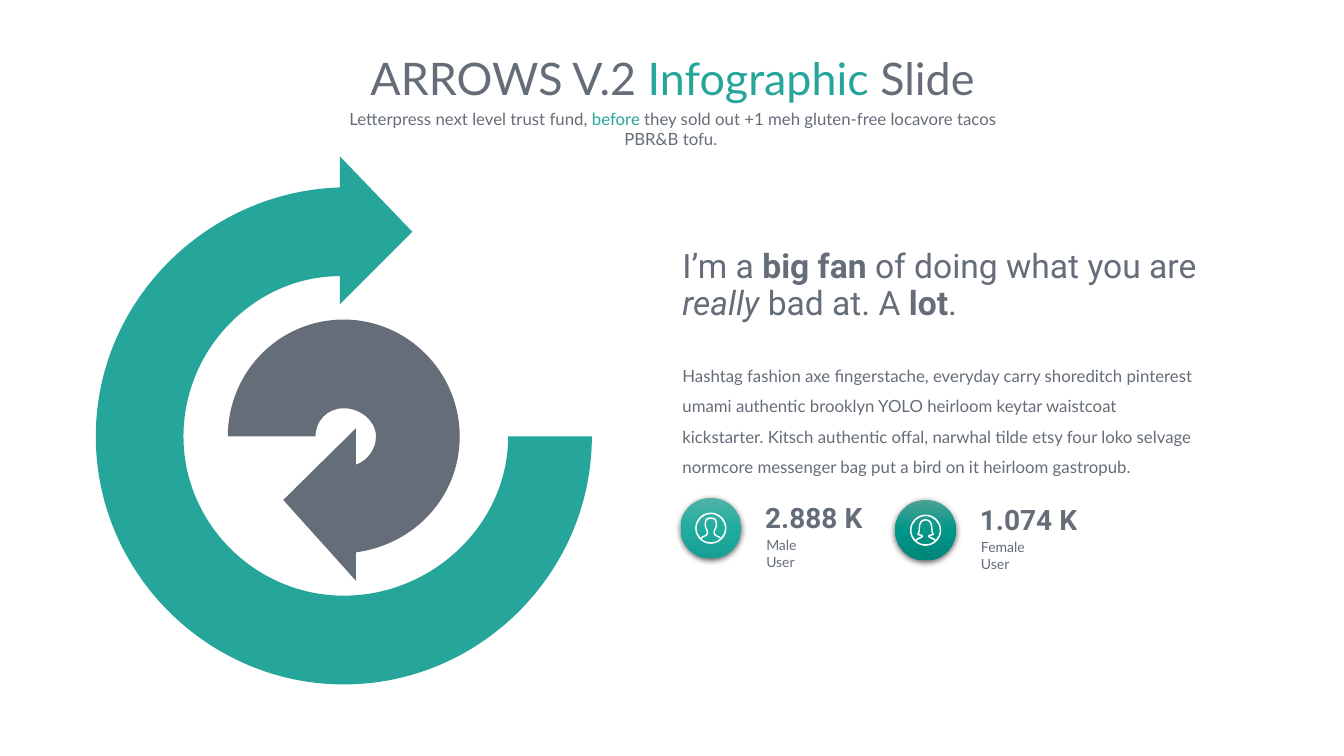
import copy
import lxml.etree
import pptx
import pptx.dml.color
import pptx.enum.shapes
import pptx.enum.text
import pptx.oxml
import pptx.oxml.ns
import pptx.util
from pptx.util import Inches

RGBColor = pptx.dml.color.RGBColor
qn = pptx.oxml.ns.qn
TEAL = RGBColor(0x26, 0xA6, 0x9A)
GREY = RGBColor(0x65, 0x6D, 0x78)
WHITE = RGBColor(0xFF, 0xFF, 0xFF)
MALE_GRADIENT = [RGBColor(0x51, 0xB2, 0xA7), RGBColor(0x20, 0xAC, 0x9F), RGBColor(0x16, 0x9F, 0x92)]
FEMALE_GRADIENT = [RGBColor(0x4B, 0xA2, 0x95), RGBColor(0x00, 0x96, 0x88), RGBColor(0x00, 0x85, 0x79)]

# Each run is its text followed by the font settings that differ from the box.
TITLE = [("ARROWS V.2 ", {}), ("Infographic ", {"color": TEAL}), ("Slide", {})]
SUBTITLE = [
    ("Letterpress next level trust fund, ", {}),
    ("before", {"color": TEAL}),
    (" they sold out +1 meh gluten-free locavore tacos PBR&B tofu. ", {}),
]
QUOTE = [
    ("I’m a ", {}), ("big fan ", {"bold": True}), ("of doing what you are ", {}),
    ("really", {"italic": True}), (" bad at. A ", {}), ("lot", {"bold": True}), (".", {}),
]
BODY = [(
    "Hashtag fashion axe fingerstache, everyday carry shoreditch pinterest umami authentic "
    "brooklyn YOLO heirloom keytar waistcoat kickstarter. Kitsch authentic offal, narwhal tilde "
    "etsy four loko selvage normcore messenger bag put a bird on it heirloom gastropub.", {},
)]

# Outlines in inches: two numbers are a corner, six are a Bézier curve to the last pair.
OUTER_ARROW = [
    (5.04, 4.33), (5.04, 5.2, 4.29, 5.91, 3.41, 5.91), (2.54, 5.91, 1.82, 5.2, 1.82, 4.33),
    (1.82, 3.45, 2.54, 2.74, 3.37, 2.74), (3.37, 3.02), (4.09, 2.3), (3.37, 1.55), (3.37, 1.86),
    (2.06, 1.9, 0.95, 2.98, 0.95, 4.33), (0.95, 5.68, 2.06, 6.79, 3.41, 6.79),
    (4.76, 6.79, 5.87, 5.68, 5.87, 4.33),
]
INNER_ARROW = [
    (4.56, 4.33), (4.56, 3.69, 4.04, 3.17, 3.41, 3.17), (2.77, 3.17, 2.26, 3.69, 2.26, 4.33),
    (3.13, 4.33), (3.13, 4.17, 3.25, 4.05, 3.41, 4.05), (3.57, 4.05, 3.73, 4.17, 3.73, 4.33),
    (3.73, 4.45, 3.65, 4.57, 3.53, 4.61), (3.53, 4.25), (2.81, 4.96), (3.53, 5.76), (3.53, 5.48),
    (4.12, 5.4, 4.56, 4.92, 4.56, 4.33),
]
# Right halves of the icon outlines, in hundredths of an inch from the badge's middle.
RING = [(0, -15.5), (8.5, -15.5, 15.5, -8.5, 15.5, 0), (15.5, 8.5, 8.5, 15.5, 0, 15.5)]
FIELD = [(0, -14), (7.7, -14, 14, -7.7, 14, 0), (14, 4, 12.5, 7, 10.3, 9.5)]
CHEST = [(6.5, 13, 3.5, 14, 0, 14)]
MALE_ICON = [
    RING,
    FIELD + [
        (9.5, 8.5, 7.5, 7.5, 6, 7), (4.5, 6.3, 4, 5.5, 4, 4.8), (3.8, 3.8, 3.9, 3.2, 4.2, 2.5),
        (5.2, 1, 6.2, -0.5, 6.2, -4.5), (6.2, -9.5, 3.5, -10.8, 0, -10.8),
    ],
    [
        (0, -9.4), (2.5, -9.4, 4.8, -8.5, 4.8, -4.5), (4.8, -1, 4, 0.5, 3, 2),
        (2.4, 3.2, 2.3, 4.2, 2.6, 5.3), (3.2, 7.2, 4.3, 7.8, 5.5, 8.3), (7, 9, 8.5, 9.7, 9.3, 10.6),
    ] + CHEST,
]
FEMALE_ICON = [
    RING,
    FIELD + [
        (9, 8, 6.5, 7, 4.8, 6.5), (4.2, 6.2, 4, 6, 4, 5.8), (6, 5.6, 7.5, 5.2, 8.2, 4.5),
        (8.6, 4.2, 8.5, 3.8, 8.2, 3.5), (7.2, 2.5, 7, 1.5, 6.9, -2), (6.8, -8.5, 4, -11, 0, -11),
    ],
    [
        (0, -9.6), (3.2, -9.6, 5.4, -7.5, 5.5, -2), (5.6, 1.5, 6, 3, 6.5, 3.8),
        (5.5, 4.3, 4, 4.6, 3, 4.6), (2.4, 5, 2.2, 5.5, 2.4, 6), (2.6, 7.2, 3.8, 7.8, 5, 8.2),
        (6.5, 8.7, 8.3, 9.8, 9.2, 10.7),
    ] + CHEST,
]
# Badge left and top, gradient, icon, number, label, label width
STATS = [
    (6.75, 4.94, MALE_GRADIENT, MALE_ICON, "2.888 K", "Male User", 0.55),
    (8.88, 4.96, FEMALE_GRADIENT, FEMALE_ICON, "1.074 K", "Female User", 0.73),
]
BADGE = 0.6
SHADOW = (
    '<a:outerShdw xmlns:a="http://schemas.openxmlformats.org/drawingml/2006/main" blurRad="57150" '
    'dist="19050" dir="5400000" algn="ctr" rotWithShape="0">'
    '<a:srgbClr val="000000"><a:alpha val="63000"/></a:srgbClr></a:outerShdw>'
)


def mirrored(half, middle_x, middle_y):
    """Complete a right half with its reflection, in inches around the middle."""
    back = []
    for before, curve in reversed(list(zip(half, half[1:]))):
        x1, y1, x2, y2 = curve[:4]
        x0, y0 = before[-2:]
        back.append((-x2, y2, -x1, y1, -x0, y0))
    return [
        tuple((middle_y if index % 2 else middle_x) + value / 100 for index, value in enumerate(step))
        for step in half + back
    ]


def add_outline(shapes, contours, color):
    """Draw closed contours of corners and curves as one filled freeform."""
    contours = [[tuple(Inches(value) for value in step) for step in contour] for contour in contours]
    builder = shapes.build_freeform(*contours[0][0])
    for index, contour in enumerate(contours):
        if index:
            builder.move_to(*contour[0])
        builder.add_line_segments([step[-2:] for step in contour[1:]], close=True)
    shape = builder.convert_to_shape()

    left = min(step[-2] for contour in contours for step in contour)
    top = min(step[-1] for contour in contours for step in contour)
    steps = [step for contour in contours for step in contour[1:]]
    for line, step in zip(list(shape.element.iter(qn("a:lnTo"))), steps):
        if len(step) == 6:
            curve = lxml.etree.Element(qn("a:cubicBezTo"))
            for x, y in zip(step[::2], step[1::2]):
                lxml.etree.SubElement(curve, qn("a:pt"), x=str(x - left), y=str(y - top))
            line.getparent().replace(line, curve)

    shape.shadow.inherit = False
    shape.fill.solid()
    shape.fill.fore_color.rgb = color
    shape.line.fill.background()


def write(box, runs, font, size, align=None, spacing=None, inset=None):
    frame = box.text_frame
    frame.word_wrap = True
    frame.auto_size = pptx.enum.text.MSO_AUTO_SIZE.SHAPE_TO_FIT_TEXT
    frame.vertical_anchor = pptx.enum.text.MSO_ANCHOR.TOP
    if inset is not None:
        frame.margin_left = frame.margin_right = Inches(inset)
        frame.margin_top = frame.margin_bottom = Inches(inset)
    para = frame.paragraphs[0]
    para.alignment = align
    para.line_spacing = spacing
    for text, style in runs:
        span = para.add_run()
        span.text = text
        span.font.name = font
        span.font.size = pptx.util.Pt(size)
        span.font.bold = style.get("bold", False)
        span.font.italic = style.get("italic", False)
        span.font.color.rgb = style.get("color", GREY)


def add_text(shapes, left, top, width, height, *content, **layout):
    box = shapes.add_textbox(Inches(left), Inches(top), Inches(width), Inches(height))
    write(box, *content, **layout)


def add_badge(shapes, left, top, colors):
    badge = shapes.add_shape(
        pptx.enum.shapes.MSO_SHAPE.OVAL, Inches(left), Inches(top), Inches(BADGE), Inches(BADGE))
    badge.shadow.inherit = False
    badge.line.fill.background()
    badge.fill.gradient()
    badge.fill.gradient_angle = 270
    properties = badge.element.spPr
    stop_list = properties.find(".//" + qn("a:gsLst"))
    stop_list.append(copy.deepcopy(stop_list[0]))
    for stop, color, position in zip(badge.fill.gradient_stops, colors, (0, 0.5, 1)):
        stop.color.rgb = color
        stop.position = position
    properties.find(qn("a:effectLst")).append(pptx.oxml.parse_xml(SHADOW))


def main():
    deck = pptx.Presentation()
    deck.slide_width, deck.slide_height = Inches(13.33), Inches(7.5)
    page = deck.slides.add_slide(deck.slide_layouts[5])
    center = pptx.enum.text.PP_ALIGN.CENTER

    title = page.shapes.title
    title.left, title.top = Inches(2.54), Inches(0.45)
    title.width, title.height = Inches(8.26), Inches(0.64)
    write(title, TITLE, "Lato", 32, align=center)
    add_text(page.shapes, 3.2, 1.03, 6.95, 0.3, SUBTITLE, "Lato", 12, align=center)

    arrows = page.shapes.add_group_shape().shapes
    add_outline(arrows, [OUTER_ARROW], TEAL)
    add_outline(arrows, [INNER_ARROW], GREY)

    add_text(page.shapes, 6.67, 2.43, 5.46, 0.83, QUOTE, "Roboto", 24, spacing=0.9)
    add_text(page.shapes, 6.67, 3.48, 5.32, 1.31, BODY, "Lato", 12, spacing=1.5)

    for left, top, colors, icon, number, label, label_width in STATS:
        stat = page.shapes.add_group_shape().shapes
        add_badge(stat, left, top, colors)
        add_text(stat, left + 0.74, top - 0.02, 1.19, 0.44, [(number, {"bold": True})], "Roboto", 20)
        add_text(stat, left + 0.85, top + 0.38, label_width, 0.17, [(label, {})], "Lato", 10, inset=0)
        middle = left + BADGE / 2, top + BADGE / 2
        add_outline(stat, [mirrored(half, *middle) for half in icon], WHITE)

    deck.save("out.pptx")


if __name__ == "__main__":
    main()
